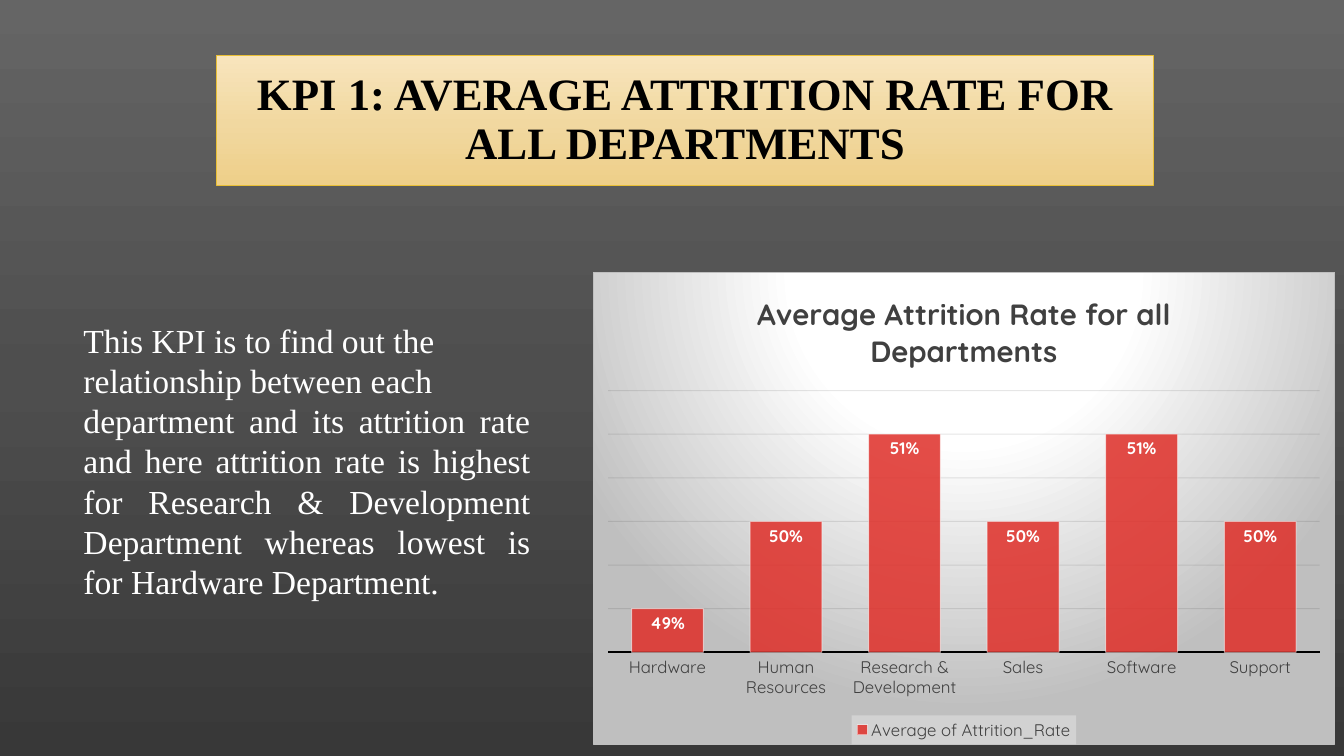
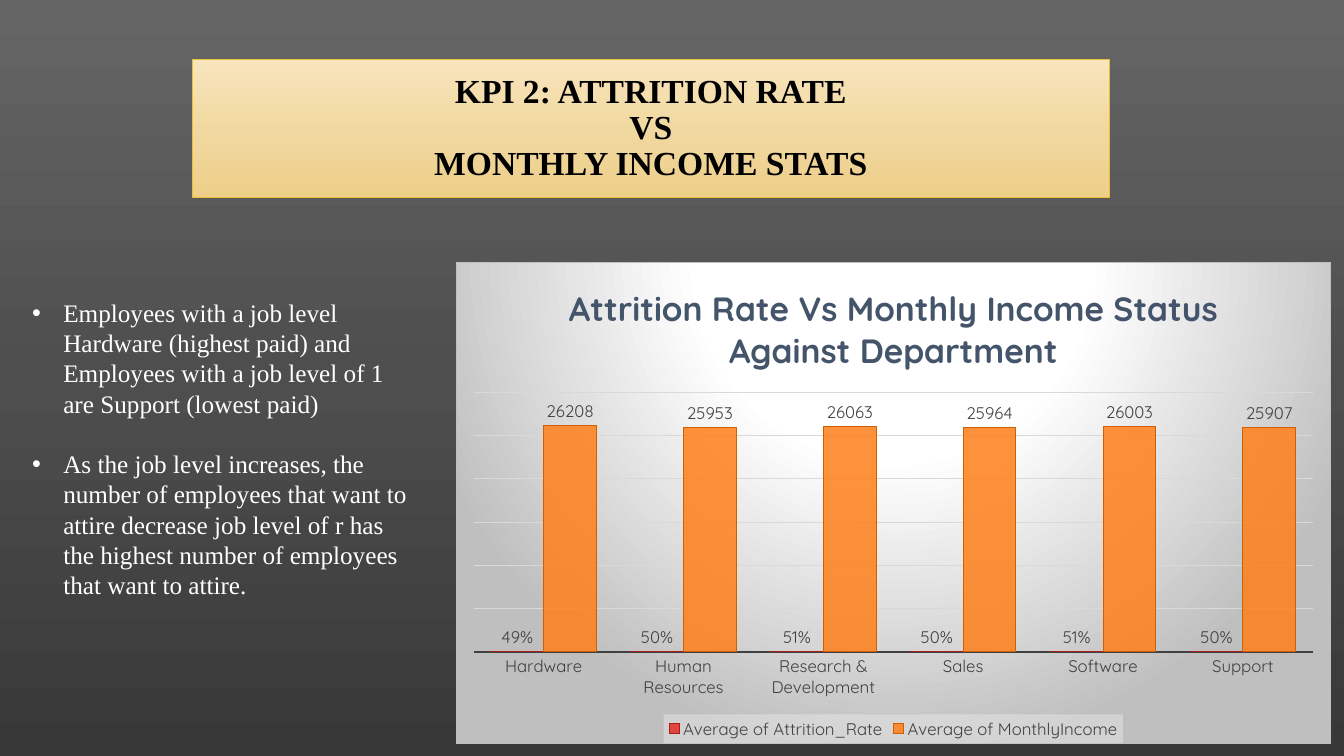
from dataclasses import dataclass

from pptx import Presentation
from pptx.chart.data import CategoryChartData
from pptx.dml.color import RGBColor
from pptx.enum.chart import XL_CHART_TYPE as ChartType
from pptx.enum.chart import XL_LABEL_POSITION as LabelPosition
from pptx.enum.chart import XL_LEGEND_POSITION as LegendPosition
from pptx.enum.chart import XL_TICK_MARK as TickMark
from pptx.enum.text import MSO_ANCHOR as Anchor
from pptx.enum.text import MSO_AUTO_SIZE as AutoSize
from pptx.enum.text import PP_ALIGN as Align
from pptx.oxml import parse_xml
from pptx.oxml.ns import nsdecls, qn
from pptx.util import Inches, Pt


@dataclass(frozen=True)
class Theme:
    text_font: str = "Times New Roman"
    chart_font: str = "Quicksand"
    title_text: str = "000000"
    body_text: str = "FFFFFF"
    chart_text: str = "404040"
    band_line: str = "E9BF35"
    panel_line: str = "BFBFBF"
    legend_fill: str = "F2F2F2"
    legend_alpha: int = 39
    bar_alpha: int = 85
    label_size: int = 12
    background: tuple = ((0, "656565"), (50, "4E4E4E"), (100, "383838"))
    band: tuple = ((0, "F8E5BD"), (52, "F1D8A0"), (100, "EECF89"))
    panel: tuple = ((0, "FFFFFF"), (39, "FFFFFF"), (100, "BFBFBF"))


THEME = Theme()
DOWNWARD = '<a:lin ang="5400000" scaled="0"/>'
SPOTLIGHT = ('<a:path path="circle"><a:fillToRect l="50000" t="-80000" '
             'r="50000" b="180000"/></a:path>')
DEPARTMENTS = ("Hardware", "Human Resources", "Research & Development",
               "Sales", "Software", "Support")


@dataclass(frozen=True)
class Box:
    left: float
    top: float
    width: float
    height: float

    def lengths(self) -> tuple:
        return tuple(Inches(v) for v in (self.left, self.top, self.width, self.height))


@dataclass(frozen=True)
class TitleBand:
    box: Box
    lines: tuple
    size: int


@dataclass(frozen=True)
class Body:
    box: Box
    paragraphs: tuple
    size: int
    align: Align
    bulleted: bool = False
    gap: float = 0


@dataclass(frozen=True)
class Measure:
    name: str
    values: tuple
    number_format: str
    fill: str
    line: str


@dataclass(frozen=True)
class Panel:
    box: Box
    title: str
    title_size: int
    title_color: str
    measures: tuple
    label_color: str
    label_bold: bool
    label_position: LabelPosition
    line_alpha: int
    base_line: str
    grid: str
    grid_alpha: int
    scale: tuple
    plot_box: Box


@dataclass(frozen=True)
class Kpi:
    title: TitleBand
    body: Body
    panel: Panel


def attrition_rate(line: str) -> Measure:
    return Measure("Average of Attrition_Rate", (0.49, 0.5, 0.51, 0.5, 0.51, 0.5),
                   "0%", "DF2E28", line)


KPIS = (
    Kpi(
        TitleBand(Box(2.15, 0.55, 9.29, 1.29),
                  ("KPI 1: AVERAGE ATTRITION RATE FOR ALL DEPARTMENTS",), 32),
        Body(Box(0.73, 3.12, 4.63, 3.33),
             ("This KPI is to find out the",
              "relationship between each",
              "department and its attrition rate and here attrition rate is highest "
              "for Research & Development Department whereas lowest is for Hardware "
              "Department."),
             24, Align.JUSTIFY),
        Panel(Box(5.88, 2.7, 7.36, 4.69), "Average Attrition Rate for all Departments",
              21, THEME.chart_text, (attrition_rate("FFFFFF"),),
              "FFFFFF", True, LabelPosition.INSIDE_END, 50, "000000", "0D0D0D", 10,
              (0.485, 0.515, 0.005), Box(0.02, 0.25, 0.96, 0.555)),
    ),
    Kpi(
        TitleBand(Box(1.91, 0.59, 9.09, 1.37),
                  ("KPI 2: ATTRITION RATE", "VS", "MONTHLY INCOME STATS"), 24),
        Body(Box(0.22, 2.9, 4.04, 3.43),
             ("Employees with a job level Hardware (highest paid) and Employees with "
              "a job level of 1 are Support (lowest paid)",
              "As the job level increases, the number of employees that want to attire "
              "decrease job level of r has the highest number of employees that want "
              "to attire."),
             18, Align.LEFT, True, 21.6),
        Panel(Box(4.52, 2.6, 8.68, 4.78),
              "Attrition Rate Vs Monthly Income Status Against Department",
              24, "44546A",
              (attrition_rate("AC1E1A"),
               Measure("Average of MonthlyIncome",
                       (26208, 25953, 26063, 25964, 26003, 25907),
                       "0", "FE801A", "D15E01")),
              THEME.chart_text, False, LabelPosition.OUTSIDE_END, 100, "404040",
              "D9D9D9", 100, (0, 30000, 5000), Box(0.02, 0.27, 0.96, 0.54)),
    ),
)


def rgb(color: str) -> RGBColor:
    return RGBColor.from_string(color)


def gradient_xml(stops: tuple, direction: str) -> str:
    marks = "".join(f'<a:gs pos="{at * 1000}"><a:srgbClr val="{color}"/></a:gs>'
                    for at, color in stops)
    return (f'<a:gradFill {nsdecls("a")} rotWithShape="1"><a:gsLst>{marks}</a:gsLst>'
            f'{direction}</a:gradFill>')


def fill_gradient(fill, holder, stops: tuple) -> None:
    fill.solid()
    solid = holder.find(qn("a:solidFill"))
    holder.replace(solid, parse_xml(gradient_xml(stops, DOWNWARD)))


def fade(colors, percent: int) -> None:
    if percent < 100:
        for color in colors:
            color.append(parse_xml(
                f'<a:alpha {nsdecls("a")} val="{percent * 1000}"/>'))


def style_font(font, name: str, size: float, color: str, bold: bool = False) -> None:
    font.name, font.size, font.bold = name, Pt(size), bold
    font.color.rgb = rgb(color)


def style_line(line, color: str, width: float) -> None:
    line.color.rgb = rgb(color)
    line.width = Pt(width)


def add_title(slide, band: TitleBand) -> None:
    title = slide.shapes.title
    title.left, title.top, title.width, title.height = band.box.lengths()
    fill_gradient(title.fill, title.element.spPr, THEME.band)
    style_line(title.line, THEME.band_line, 0.75)
    frame = title.text_frame
    frame.word_wrap, frame.auto_size = True, AutoSize.NONE
    frame.vertical_anchor = Anchor.MIDDLE
    heading = frame.paragraphs[0]
    heading.alignment, heading.line_spacing = Align.CENTER, 0.9
    for index, words in enumerate(band.lines):
        if index:
            heading.add_line_break()
        run = heading.add_run()
        run.text = words
        style_font(run.font, THEME.text_font, band.size, THEME.title_text, True)


def add_bullet(paragraph) -> None:
    indent = Inches(0.31)
    properties = paragraph._p.get_or_add_pPr()
    properties.set("marL", str(indent))
    properties.set("indent", str(-indent))
    properties.append(parse_xml(f'<a:buFont {nsdecls("a")} typeface="Arial"/>'))
    properties.append(parse_xml(f'<a:buChar {nsdecls("a")} char="•"/>'))


def add_body(slide, body: Body) -> None:
    frame = slide.shapes.add_textbox(*body.box.lengths()).text_frame
    frame.word_wrap, frame.auto_size = True, AutoSize.SHAPE_TO_FIT_TEXT
    for index, words in enumerate(body.paragraphs):
        paragraph = frame.add_paragraph() if index else frame.paragraphs[0]
        paragraph.alignment = body.align
        if index:
            paragraph.space_before = Pt(body.gap)
        if body.bulleted:
            add_bullet(paragraph)
        run = paragraph.add_run()
        run.text = words
        style_font(run.font, THEME.text_font, body.size, THEME.body_text)


def style_axes(chart, panel: Panel) -> None:
    departments, scale = chart.category_axis, chart.value_axis
    departments.major_tick_mark = TickMark.NONE
    style_font(departments.tick_labels.font, THEME.chart_font, THEME.label_size,
               THEME.chart_text)
    style_line(departments.format.line, panel.base_line, 1.5)
    scale.minimum_scale, scale.maximum_scale, scale.major_unit = panel.scale
    scale.has_major_gridlines = True
    style_line(scale.major_gridlines.format.line, panel.grid, 0.75)
    scale.visible = False
    fade(chart.element.xpath(".//c:majorGridlines//a:srgbClr"), panel.grid_alpha)


def style_bars(chart, panel: Panel) -> None:
    plot = chart.plots[0]
    plot.gap_width, plot.overlap, plot.vary_by_categories = 65, 0, False
    for bars, measure in zip(plot.series, panel.measures):
        bars.format.fill.solid()
        bars.format.fill.fore_color.rgb = rgb(measure.fill)
        style_line(bars.format.line, measure.line, 0.75)
        labels = bars.data_labels
        labels.show_value = True
        labels.number_format, labels.number_format_is_linked = measure.number_format, False
        labels.position = panel.label_position
        style_font(labels.font, THEME.chart_font, THEME.label_size,
                   panel.label_color, panel.label_bold)
    fade(chart.element.xpath(".//c:ser/c:spPr/a:solidFill/a:srgbClr"), THEME.bar_alpha)
    fade(chart.element.xpath(".//c:ser/c:spPr/a:ln//a:srgbClr"), panel.line_alpha)


def style_legend(chart) -> None:
    chart.has_legend = True
    legend = chart.legend
    legend.position, legend.include_in_layout = LegendPosition.BOTTOM, False
    style_font(legend.font, THEME.chart_font, THEME.label_size, THEME.chart_text)
    chart.element.xpath(".//c:legend/c:txPr")[0].addprevious(parse_xml(
        f'<c:spPr {nsdecls("c", "a")}><a:solidFill><a:srgbClr val="{THEME.legend_fill}">'
        f'<a:alpha val="{THEME.legend_alpha * 1000}"/></a:srgbClr></a:solidFill></c:spPr>'))


def style_panel(chart, plot_box: Box) -> None:
    chart.element.find(qn("c:chart")).addnext(parse_xml(
        f'<c:spPr {nsdecls("c", "a")}>{gradient_xml(THEME.panel, SPOTLIGHT)}'
        f'<a:ln w="9525"><a:solidFill><a:srgbClr val="{THEME.panel_line}"/>'
        f'</a:solidFill></a:ln></c:spPr>'))
    plot_area = chart.element.xpath(".//c:plotArea")[0]
    for layout in plot_area.findall(qn("c:layout")):
        plot_area.remove(layout)
    plot_area.insert(0, parse_xml(
        f'<c:layout {nsdecls("c")}><c:manualLayout><c:layoutTarget val="inner"/>'
        f'<c:xMode val="edge"/><c:yMode val="edge"/>'
        f'<c:x val="{plot_box.left}"/><c:y val="{plot_box.top}"/>'
        f'<c:w val="{plot_box.width}"/><c:h val="{plot_box.height}"/>'
        f'</c:manualLayout></c:layout>'))


def add_panel(slide, panel: Panel) -> None:
    figures = CategoryChartData()
    figures.categories = DEPARTMENTS
    for measure in panel.measures:
        figures.add_series(measure.name, measure.values, measure.number_format)
    chart = slide.shapes.add_chart(ChartType.COLUMN_CLUSTERED, *panel.box.lengths(),
                                   figures).chart
    style_font(chart.font, THEME.chart_font, 10, THEME.body_text)
    chart.has_title = True
    run = chart.chart_title.text_frame.paragraphs[0].add_run()
    run.text = panel.title
    style_font(run.font, THEME.chart_font, panel.title_size, panel.title_color, True)
    style_axes(chart, panel)
    style_bars(chart, panel)
    style_legend(chart)
    style_panel(chart, panel.plot_box)


def main() -> None:
    deck = Presentation()
    deck.slide_width, deck.slide_height = Inches(13.33), Inches(7.5)
    master = deck.slide_master
    backdrop = master.background.fill
    backdrop.solid()
    fill_gradient(backdrop, master.element.xpath(".//p:bgPr")[0], THEME.background)
    title_only = deck.slide_layouts[5]
    for kpi in KPIS:
        slide = deck.slides.add_slide(title_only)
        add_title(slide, kpi.title)
        add_panel(slide, kpi.panel)
        add_body(slide, kpi.body)
    deck.save("out.pptx")


if __name__ == "__main__":
    main()
